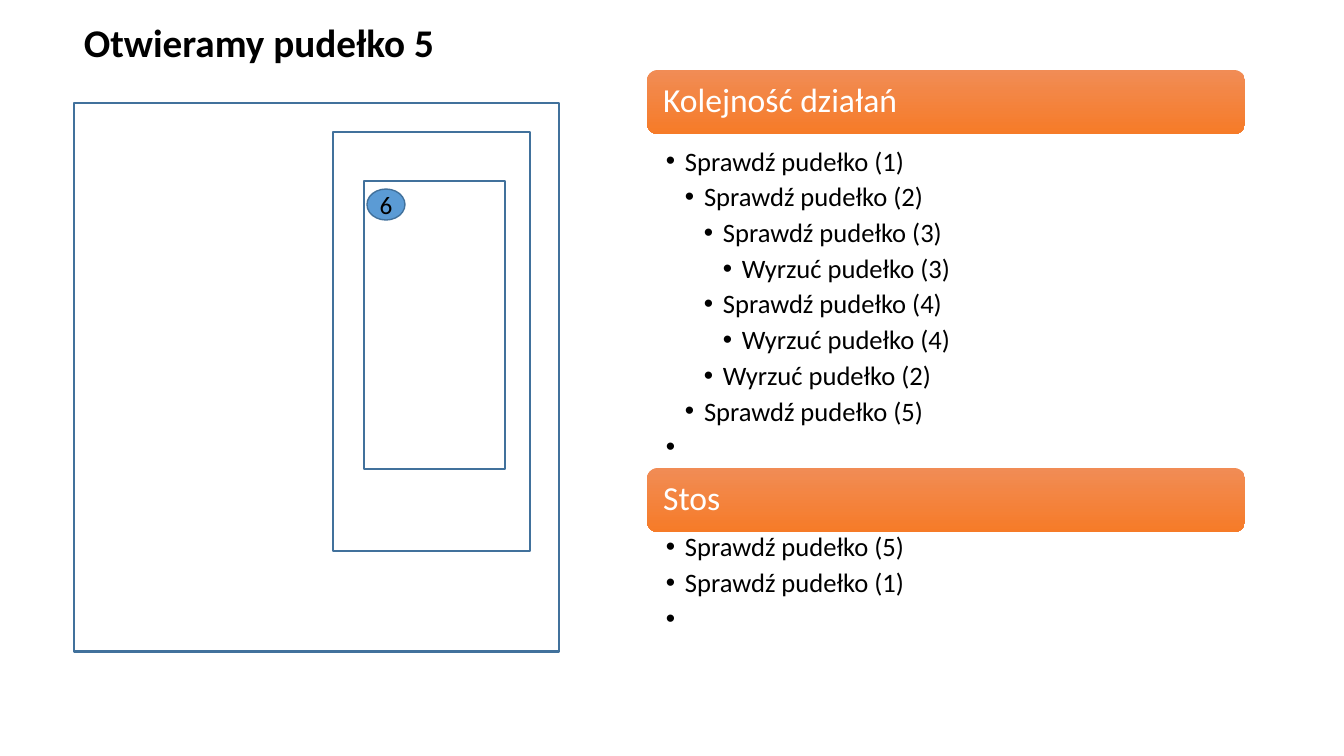
from lxml.etree import SubElement
from pptx import Presentation
from pptx.dml.color import RGBColor
from pptx.enum.shapes import MSO_SHAPE
from pptx.enum.text import MSO_ANCHOR, PP_ALIGN
from pptx.oxml.ns import qn
from pptx.util import Pt

TITLE = "Otwieramy pudełko 5"
LEFT, WIDTH, BAR = 647, 598, 64
# heading, bar top, list top, list height, (level, item)
PANELS = [
    ("Kolejność działań", 70, 145, 323, [
        (1, "Sprawdź pudełko (1)"),
        (2, "Sprawdź pudełko (2)"),
        (3, "Sprawdź pudełko (3)"),
        (4, "Wyrzuć pudełko (3)"),
        (3, "Sprawdź pudełko (4)"),
        (4, "Wyrzuć pudełko (4)"),
        (3, "Wyrzuć pudełko (2)"),
        (2, "Sprawdź pudełko (5)"),
        (1, " "),
    ]),
    ("Stos", 468, 531, 110, [
        (1, "Sprawdź pudełko (5)"),
        (1, "Sprawdź pudełko (1)"),
        (1, " "),
    ]),
]
# left, top, width, height, line width
BOXES = [
    (333, 132, 197, 419, 1),
    (74, 103, 485, 549, 2),
    (364, 181, 141, 288, 1),
]
BALL = ("6", (367, 189, 38, 31))
EDGE, INDENT = "41719C", 19


def px(n):
    return round(n * 914400 / 100.8)


def tint(color, code):
    color.rgb = RGBColor.from_string(code)


def style(par, size, code, bold=False):
    par.font.name = "Calibri"
    par.font.size = Pt(size)
    par.font.bold = bold
    tint(par.font.color, code)


def inset(frame, x, y):
    frame.margin_left = frame.margin_right = px(x)
    frame.margin_top = frame.margin_bottom = px(y)


def draw(kind, rect):
    shape = slide.shapes.add_shape(kind, *map(px, rect))
    shape.shadow.inherit = False
    return shape


def edge(shape, width):
    tint(shape.line.color, EDGE)
    shape.line.width = Pt(width)


def add_text(rect):
    frame = slide.shapes.add_textbox(*map(px, rect)).text_frame
    frame.word_wrap = True
    return frame


def add_bar(text, top):
    bar = draw(MSO_SHAPE.ROUNDED_RECTANGLE, (LEFT, top, WIDTH, BAR))
    bar.line.fill.background()
    bar.fill.gradient()
    bar.fill.gradient_angle = 270
    for stop, code in zip(bar.fill.gradient_stops, ("F18C55", "F67B28")):
        tint(stop.color, code)
    frame = bar.text_frame
    inset(frame, 13, 13)
    frame.vertical_anchor = MSO_ANCHOR.MIDDLE
    par = frame.paragraphs[0]
    par.text = text
    par.alignment = PP_ALIGN.LEFT
    par.line_spacing = 0.9
    style(par, 24, "FFFFFF")


def bullet(par, level):
    props = par._p.get_or_add_pPr()
    props.set("marL", str(px(INDENT * level)))
    props.set("indent", str(-px(INDENT)))
    SubElement(props, qn("a:buFont")).set("typeface", "Arial")
    SubElement(props, qn("a:buChar")).set("char", "•")


def add_list(items, top, height):
    frame = add_text((LEFT, top, WIDTH, height))
    inset(frame, INDENT, 3)
    for i, (level, text) in enumerate(items):
        par = frame.add_paragraph() if i else frame.paragraphs[0]
        par.text = text
        par.level = level
        bullet(par, level)
        par.line_spacing = 0.9
        par.space_after = Pt(5)
        style(par, 19, "000000")


deck = Presentation()
deck.slide_width, deck.slide_height = px(1344), px(756)
slide = deck.slides.add_slide(deck.slide_layouts[6])

for heading, top, start, height, items in PANELS:
    add_bar(heading, top)
    add_list(items, start, height)

title = add_text((74, 13, 1269, 57)).paragraphs[0]
title.text = TITLE
style(title, 28, "000000", True)

for *rect, width in BOXES:
    box = draw(MSO_SHAPE.RECTANGLE, rect)
    box.fill.background()
    edge(box, width)

label, rect = BALL
ball = draw(MSO_SHAPE.OVAL, rect)
ball.fill.solid()
tint(ball.fill.fore_color, "5B9BD5")
edge(ball, 1)
inset(ball.text_frame, 0, 0)
ball.text_frame.word_wrap = False
digit = ball.text_frame.paragraphs[0]
digit.text = label
digit.alignment = PP_ALIGN.CENTER
style(digit, 18, "000000")

deck.save("out.pptx")
